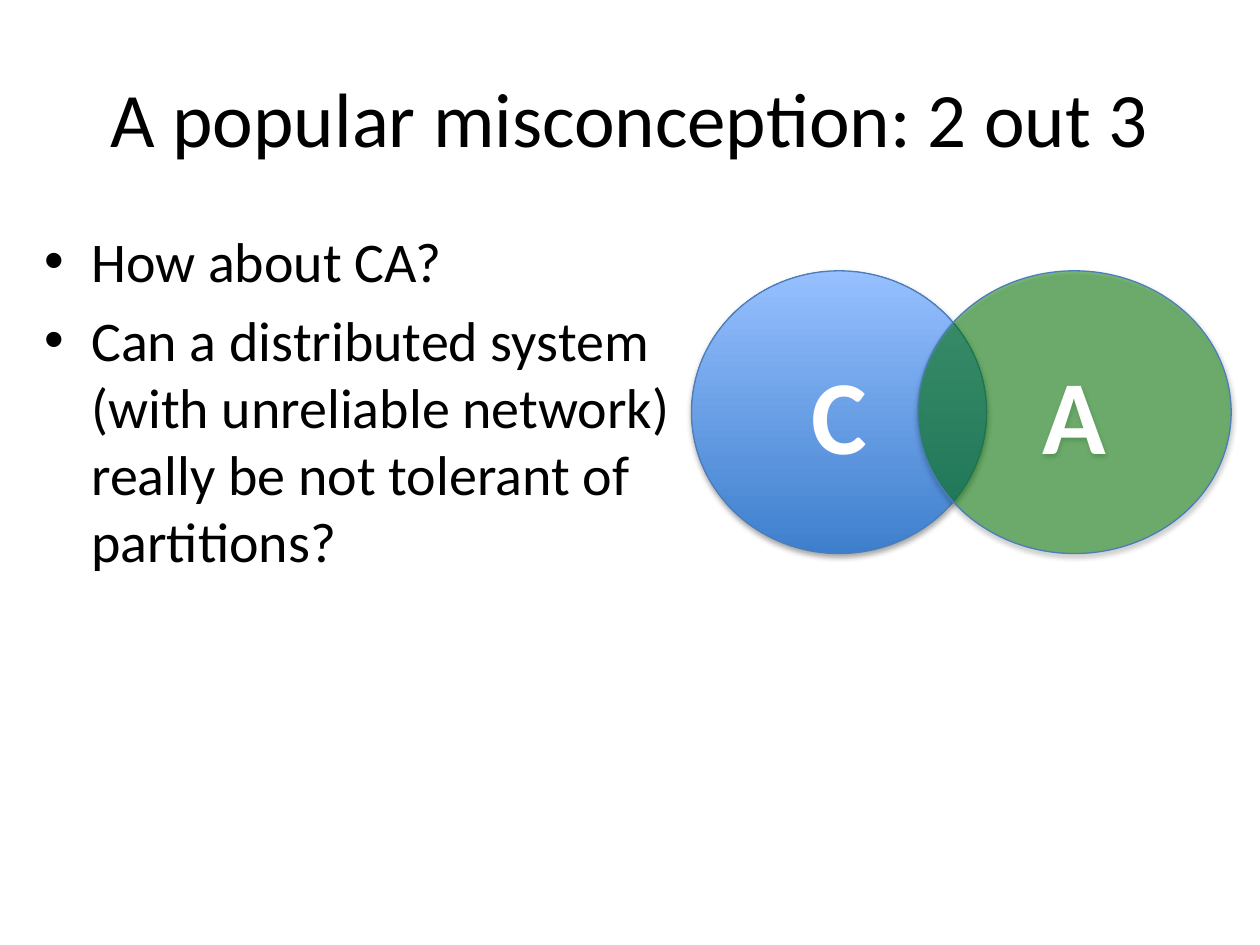
from lxml.etree import SubElement
from pptx import Presentation
from pptx.dml.color import RGBColor as Rgb
from pptx.enum.shapes import MSO_SHAPE as Preset
from pptx.enum.text import MSO_ANCHOR as Anchor, PP_ALIGN as Align
from pptx.oxml.ns import qn
from pptx.util import Cm, Pt

COLORS = {"text": "000000", "letter": "FFFFFF", "outline": "4A7DBA",
          "deep": "3E7FCD", "pale": "96C0FF", "green": "008000"}


class SlideBuilder:
    """Holds the style and the current slide, and adds each kind of element."""

    font_name = "Calibri"
    hanging = Cm(0.95)

    def __init__(self, deck):
        self.slide = deck.slides.add_slide(deck.slide_layouts[5])

    def color(self, name):
        return Rgb.from_string(COLORS[name])

    def format_text(self, paragraph, align, color, **formats):
        paragraph.alignment = align
        font = paragraph.runs[0].font
        for attribute, value in {"name": self.font_name, **formats}.items():
            setattr(font, attribute, value)
        font.color.rgb = self.color(color)

    def set_alpha(self, fill, percent):
        rgb = fill._xPr.find(qn("a:solidFill")).find(qn("a:srgbClr"))
        SubElement(rgb, qn("a:alpha"), val=str(percent * 1000))

    def title(self, wording, left, top, width, height):
        heading = self.slide.shapes.title
        place = {"left": left, "top": top, "width": width, "height": height}
        for attribute, value in place.items():
            setattr(heading, attribute, Cm(value))
        heading.text_frame.text = wording
        heading.text_frame.vertical_anchor = Anchor.MIDDLE
        self.format_text(heading.text_frame.paragraphs[0], Align.CENTER, "text", size=Pt(44))

    def bullets(self, points, *place):
        frame = self.slide.shapes.add_textbox(*map(Cm, place)).text_frame
        frame.word_wrap = True
        frame.text = "\n".join(points)
        for index, point in enumerate(frame.paragraphs):
            self.format_text(point, Align.LEFT, "text", size=Pt(32))
            point.space_before = Pt(6.4 if index else 0)
            properties = point._p.get_or_add_pPr()
            properties.set("marL", str(self.hanging))
            properties.set("indent", str(-self.hanging))
            SubElement(properties, qn("a:buFont"), typeface="Arial")
            SubElement(properties, qn("a:buChar"), char="•")

    def add_shadow(self, shape):
        shape.shadow.inherit = False
        effects = shape._element.spPr.find(qn("a:effectLst"))
        shadow = SubElement(effects, qn("a:outerShdw"), blurRad=str(Pt(3.1)),
                            dist=str(Pt(1.8)), dir="5400000", rotWithShape="0")
        black = SubElement(shadow, qn("a:srgbClr"), val=COLORS["text"])
        SubElement(black, qn("a:alpha"), val="35000")

    def ellipse(self, letter, place, fill_colors, alpha=None):
        oval = self.slide.shapes.add_shape(Preset.OVAL, *map(Cm, place))
        if len(fill_colors) > 1:
            oval.fill.gradient()
            oval.fill.gradient_angle = 90
            for stop, name in zip(oval.fill.gradient_stops, fill_colors):
                stop.color.rgb = self.color(name)
        else:
            oval.fill.solid()
            oval.fill.fore_color.rgb = self.color(fill_colors[0])
        if alpha:
            self.set_alpha(oval.fill, alpha)
        oval.line.color.rgb = self.color("outline")
        oval.line.width = Pt(0.75)
        self.add_shadow(oval)
        oval.text_frame.text = letter
        oval.text_frame.vertical_anchor = Anchor.MIDDLE
        self.format_text(oval.text_frame.paragraphs[0], Align.CENTER, "letter",
                         size=Pt(60), bold=True)


def main():
    deck = Presentation()
    deck.slide_width, deck.slide_height = Cm(25.4), Cm(19.05)
    builder = SlideBuilder(deck)
    builder.title("A popular misconception: 2 out 3", 1.27, 0.76, 22.86, 3.18)
    builder.bullets(
        ["How about CA?",
         "Can a distributed system (with unreliable network) really be not tolerant of partitions?"],
        0.64, 4.45, 15.27, 12.57)
    top, height = 5.46, 5.7
    builder.ellipse("C", (13.94, top, 5.95, height), ["deep", "pale"])
    builder.ellipse("A", (18.5, top, 6.32, height), ["green"], alpha=49)
    deck.save("out.pptx")


if __name__ == "__main__":
    main()
